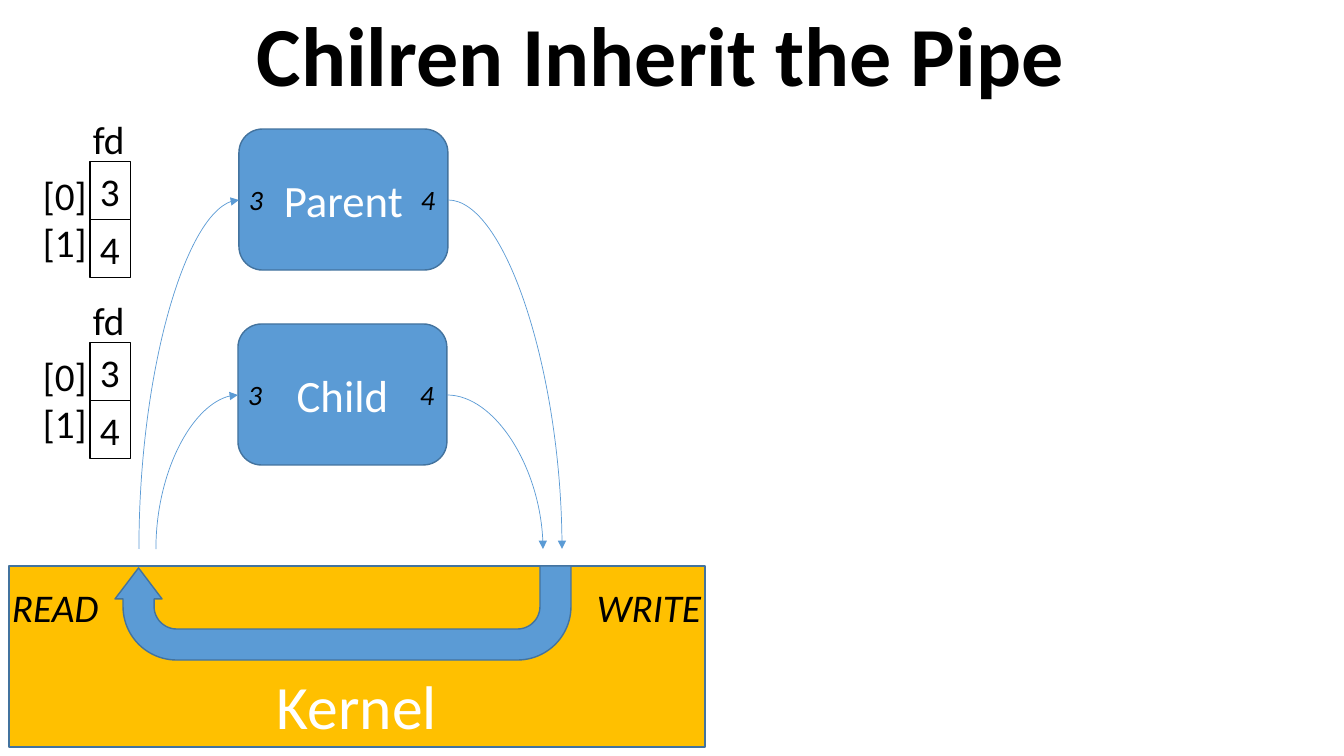
from lxml import etree
from pptx import Presentation
from pptx.dml.color import RGBColor
from pptx.enum.shapes import MSO_CONNECTOR, MSO_SHAPE
from pptx.enum.text import MSO_ANCHOR, PP_ALIGN
from pptx.oxml.ns import qn
from pptx.util import Pt

PX = 914400 / 100.8
BLUE = RGBColor(0x5B, 0x9B, 0xD5)
EDGE = RGBColor(0x43, 0x73, 0x9E)
GOLD = RGBColor(0xFF, 0xC0, 0x00)
BLACK = RGBColor(0, 0, 0)
WHITE = RGBColor(0xFF, 0xFF, 0xFF)

TITLE = "Chilren Inherit the Pipe"
# name, left, top, x of the read curve's foot, x of the write curve's foot
PROCESSES = [("Parent", 239, 129, 139, 562), ("Child", 238, 324, 156, 543)]
PROCESS_W, PROCESS_H = 209, 141
CURVE_FOOT = 549
READ_FD, WRITE_FD = "3", "4"
DIGIT_TAB = 172
ARRAY_TOPS = [110, 291]
CELL_H = 58
KERNEL = (9, 566, 696, 181)
PIPE = (115, 566, 456, 94)
PIPE_ADJUSTMENTS = [0.33, 0.33, 0.33, 0.57, 0.98]
PIPE_ENDS = [("READ", 2), ("WRITE", 587)]


def emu(*lengths):
    return [round(n * PX) for n in lengths]


def write(sp, text, size, color=BLACK, align=PP_ALIGN.LEFT,
          anchor=MSO_ANCHOR.TOP, **style):
    tf = sp.text_frame
    tf.word_wrap = True
    tf.vertical_anchor = anchor
    tf.text = text
    for p in tf.paragraphs:
        p.alignment = align
        for r in p.runs:
            r.font.color.rgb = color
            for key, value in dict(name="Calibri", size=Pt(size), **style).items():
                setattr(r.font, key, value)
    return tf


def add_label(shapes, box, text, size=28, **style):
    return write(shapes.add_textbox(*emu(*box)), text, size, **style)


def add_block(shapes, kind, box, fill=None, line=EDGE, width=1):
    sp = shapes.add_shape(kind, *emu(*box))
    sp.shadow.inherit = False
    if fill is None:
        sp.fill.background()
    else:
        sp.fill.solid()
        sp.fill.fore_color.rgb = fill
    sp.line.color.rgb = line
    sp.line.width = Pt(width)
    return sp


def add_curve(shapes, port, foot, arrow):
    """Curve from a process port down to the pipe; arrow is headEnd or tailEnd."""
    c = shapes.add_connector(MSO_CONNECTOR.CURVE, *emu(*port, *foot))
    c.line.color.rgb = BLUE
    c.line.width = Pt(0.5)
    sp_pr = c._element.spPr
    sp_pr.find(qn("a:prstGeom")).set("prst", "curvedConnector2")
    etree.SubElement(sp_pr.find(qn("a:ln")), qn("a:" + arrow), type="triangle")
    etree.SubElement(sp_pr, qn("a:effectLst"))


def add_process(shapes, name, left, top, read_x, write_x):
    sp = add_block(shapes, MSO_SHAPE.ROUNDED_RECTANGLE,
                   (left, top, PROCESS_W, PROCESS_H), BLUE)
    write(sp, name, 32, WHITE, PP_ALIGN.CENTER, MSO_ANCHOR.MIDDLE)
    middle = top + PROCESS_H // 2 + 1
    add_curve(shapes, (left + PROCESS_W, middle), (write_x, CURVE_FOOT), "tailEnd")
    add_curve(shapes, (left, middle), (read_x, CURVE_FOOT), "headEnd")
    tf = add_label(shapes, (left, middle - 22, 245, 44),
                   f"{READ_FD}\t{WRITE_FD}", 20, italic=True)
    tabs = etree.SubElement(tf.paragraphs[0]._p.get_or_add_pPr(), qn("a:tabLst"))
    etree.SubElement(tabs, qn("a:tab"), pos=str(emu(DIGIT_TAB)[0]), algn="l")


def add_fd_array(shapes, top):
    group = shapes.add_group_shape().shapes
    add_label(group, (33, top + 56, 65, 105), "[0]\n[1]")
    for i, fd in enumerate([READ_FD, WRITE_FD]):
        cell = add_block(group, MSO_SHAPE.RECTANGLE,
                         (90, top + 52 + i * CELL_H, 41, CELL_H),
                         line=BLACK, width=0.75)
        write(cell, fd, 28)
    add_label(group, (83, top, 62, 57), "fd")


def main():
    prs = Presentation()
    prs.slide_width, prs.slide_height = emu(1344, 756)
    slide = prs.slides.add_slide(prs.slide_layouts[5])
    shapes = slide.shapes

    title = shapes.title
    title.left, title.top, title.width, title.height = emu(81, 2, 1159, 114)
    tf = write(title, TITLE, 60, align=PP_ALIGN.CENTER,
               anchor=MSO_ANCHOR.MIDDLE, bold=True)
    tf.paragraphs[0].line_spacing = 0.9

    kernel = add_block(shapes, MSO_SHAPE.RECTANGLE, KERNEL, GOLD)
    write(kernel, "Kernel", 44, WHITE, PP_ALIGN.CENTER, MSO_ANCHOR.BOTTOM)
    pipe = add_block(shapes, MSO_SHAPE.U_TURN_ARROW, PIPE, BLUE)
    pipe.rotation = 180
    for i, value in enumerate(PIPE_ADJUSTMENTS):
        pipe.adjustments[i] = value
    for text, left in PIPE_ENDS:
        add_label(shapes, (left, 578, 127, 57), text, italic=True)

    for process in PROCESSES:
        add_process(shapes, *process)
    for top in ARRAY_TOPS:
        add_fd_array(shapes, top)
    prs.save("out.pptx")


if __name__ == "__main__":
    main()
